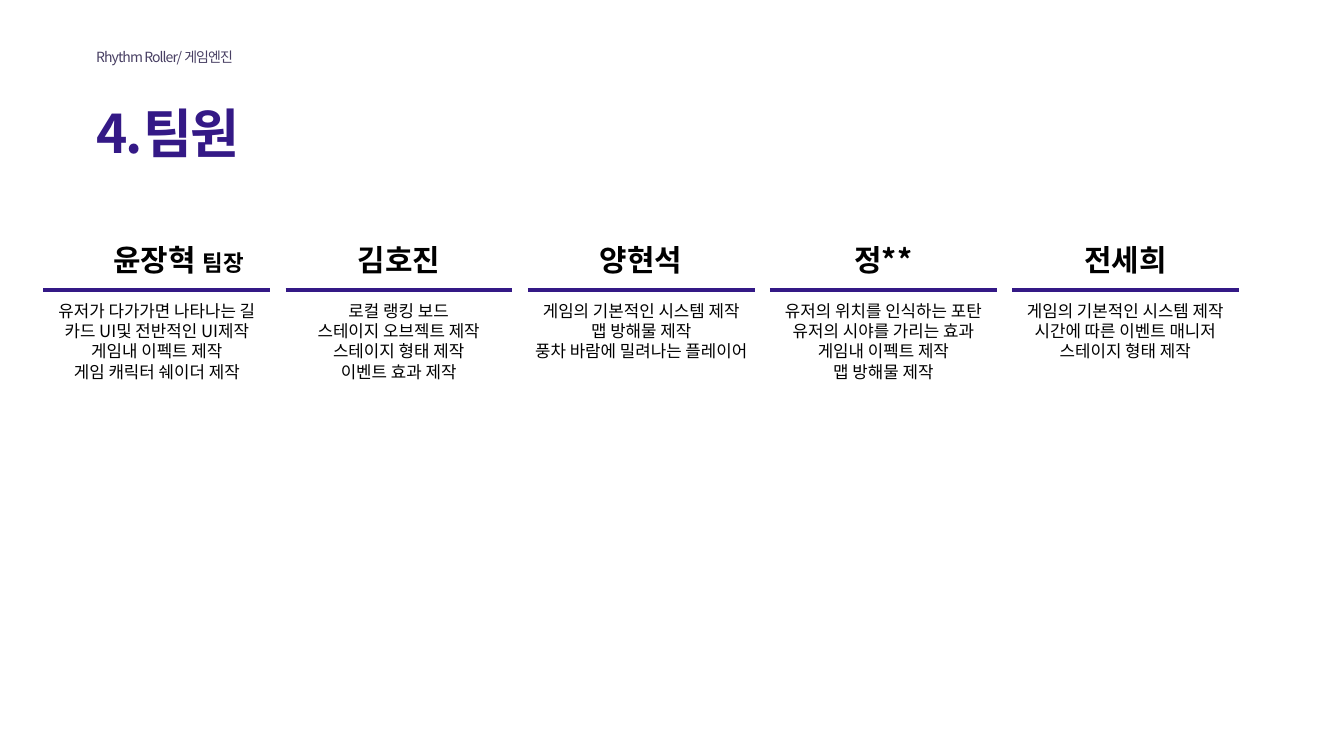
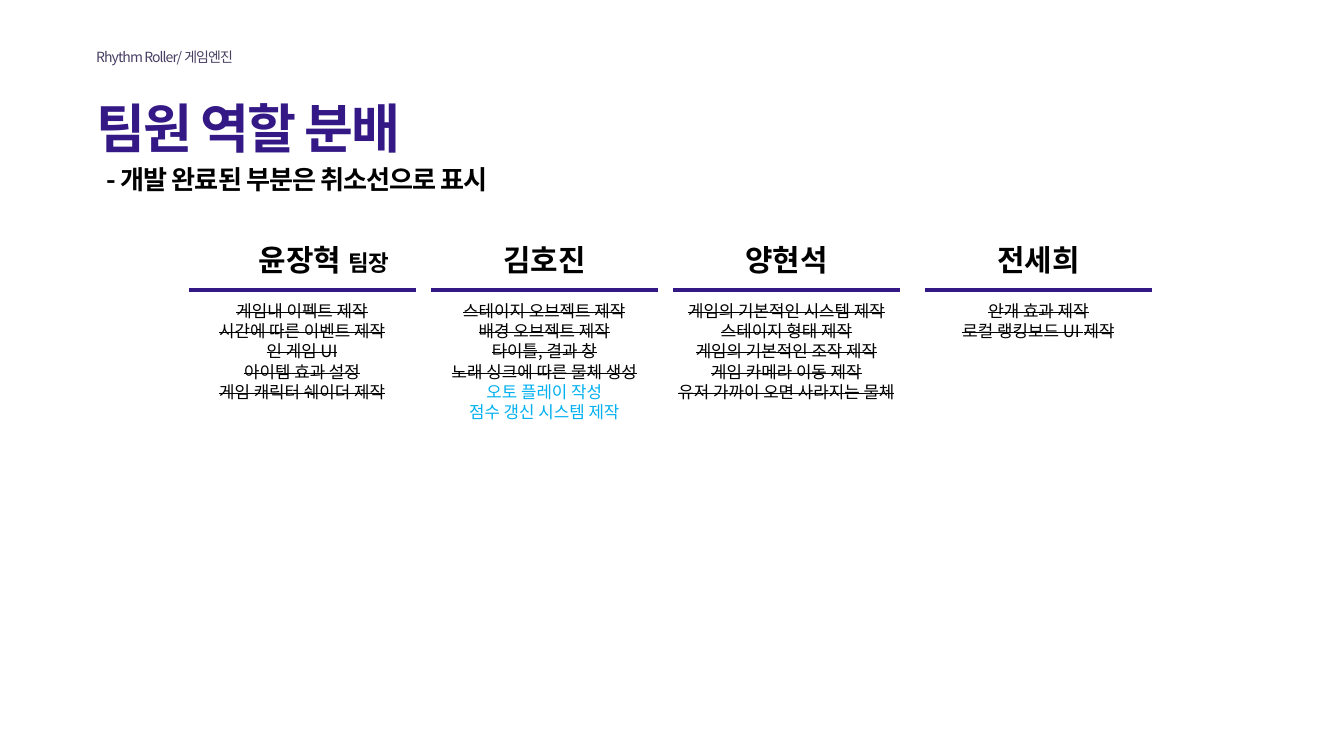
import dataclasses

import lxml.etree
import pptx
import pptx.dml.color
import pptx.enum.shapes
import pptx.enum.text
import pptx.oxml.ns
import pptx.slide
import pptx.text.text
import pptx.util

PX = 9525
SLIDE_WIDTH, SLIDE_HEIGHT = 1920, 1080
FONT = "Noto Sans CJK KR"
LINE_RATIO = 1.2

INDIGO = pptx.dml.color.RGBColor(0x34, 0x19, 0x86)
PLUM = pptx.dml.color.RGBColor(0x48, 0x3F, 0x63)
BLACK = pptx.dml.color.RGBColor(0, 0, 0)
SKY = pptx.dml.color.RGBColor(0x00, 0xB0, 0xF0)

LEFT_MARGIN = 128
COLUMN_WIDTH, COLUMN_PITCH = 324, 346
NAME_TOP, NAME_HEIGHT, NAME_INDENT = 340, 61, 62
NAME_WIDTH, LEADER_NAME_WIDTH = 200, 262
RULE_Y = 414
DUTIES_TOP, DUTY_HEIGHT, BOX_PADDING = 425, 29, 10


@dataclasses.dataclass(frozen=True)
class Style:
    size: int
    color: pptx.dml.color.RGBColor = BLACK
    bold: bool = False
    spacing: int = 0
    strike: bool = False


@dataclasses.dataclass(frozen=True)
class Box:
    left: int
    top: int
    width: int
    height: int


@dataclasses.dataclass(frozen=True)
class Member:
    name: str
    duties_width: int
    duties: tuple[str, ...]
    role: str = ""
    pending: tuple[str, ...] = ()
    shift: int = 0


RUNNING_HEAD = Style(15, PLUM, spacing=-1)
TITLE = Style(57, INDIGO, bold=True, spacing=-2)
SUBTITLE = Style(28, bold=True, spacing=-1)
NAME = Style(32, bold=True)
ROLE = Style(24, bold=True)
DUTY = Style(18)
DONE = Style(18, strike=True)
PENDING = Style(18, SKY)

Line = list[tuple[str, Style]]

TEAM = (
    Member("윤장혁", 336, (
        "유저가 다가가면 나타나는 길",
        "카드 UI및 전반적인 UI제작",
        "게임내 이펙트 제작",
        "게임 캐릭터 쉐이더 제작",
    ), role="팀장"),
    Member("김호진", 279, (
        "로컬 랭킹 보드",
        "스테이지 오브젝트 제작",
        "스테이지 형태 제작",
        "이벤트 효과 제작",
    )),
    Member("양현석", 360, (
        "게임의 기본적인 시스템 제작",
        "맵 방해물 제작",
        "풍차 바람에 밀려나는 플레이어",
    )),
    Member("정**", 336, (
        "유저의 위치를 인식하는 포탄",
        "유저의 시야를 가리는 효과",
        "게임내 이펙트 제작",
        "맵 방해물 제작",
    )),
    Member("전세희", 345, (
        "게임의 기본적인 시스템 제작",
        "시간에 따른 이벤트 매니저",
        "스테이지 형태 제작",
    )),
)

PROGRESS = (
    Member("윤장혁", 287, (
        "게임내 이펙트 제작",
        "시간에 따른 이벤트 제작",
        "인 게임 UI",
        "아이템 효과 설정",
        "게임 캐릭터 쉐이더 제작",
    ), role="팀장"),
    Member("김호진", 321, (
        "스테이지 오브젝트 제작",
        "배경 오브젝트 제작",
        "타이틀, 결과 창",
        "노래 싱크에 따른 물체 생성",
    ), pending=("오토 플레이 작성", "점수 갱신 시스템 제작")),
    Member("양현석", 369, (
        "게임의 기본적인 시스템 제작",
        "스테이지 형태 제작",
        "게임의 기본적인 조작 제작",
        "게임 카메라 이동 제작",
        "유저 가까이 오면 사라지는 물체",
    )),
    Member("전세희", 263, (
        "안개 효과 제작",
        "로컬 랭킹보드 UI 제작",
    ), shift=14),
)


def px(length: int) -> pptx.util.Emu:
    return pptx.util.Emu(length * PX)


def add_run(paragraph: pptx.text.text._Paragraph, text: str, style: Style) -> None:
    run = paragraph.add_run()
    run.text = text
    font_values = {"name": FONT, "size": pptx.util.Pt(style.size), "bold": style.bold}
    for attribute, value in font_values.items():
        setattr(run.font, attribute, value)
    run.font.color.rgb = style.color
    properties = run._r.get_or_add_rPr()
    if style.spacing:
        properties.set("spc", str(style.spacing * 100))
    if style.strike:
        properties.set("strike", "sngStrike")
    east_asian = lxml.etree.SubElement(properties, pptx.oxml.ns.qn("a:ea"))
    east_asian.set("typeface", FONT)


def add_text(slide: pptx.slide.Slide, box: Box, lines: list[Line],
             centred: bool = False, wrap: bool = True) -> None:
    area = slide.shapes.add_textbox(*map(px, dataclasses.astuple(box)))
    frame = area.text_frame
    frame.word_wrap = wrap
    frame.auto_size = pptx.enum.text.MSO_AUTO_SIZE.SHAPE_TO_FIT_TEXT
    for index, line in enumerate(lines):
        paragraph = frame.add_paragraph() if index else frame.paragraphs[0]
        if centred:
            paragraph.alignment = pptx.enum.text.PP_ALIGN.CENTER
        largest = max(style.size for _, style in line)
        paragraph.line_spacing = pptx.util.Pt(round(largest * LINE_RATIO, 1))
        for text, style in line:
            add_run(paragraph, text, style)


def add_rule(slide: pptx.slide.Slide, left: int) -> None:
    rule = slide.shapes.add_connector(
        pptx.enum.shapes.MSO_CONNECTOR.STRAIGHT,
        px(left), px(RULE_Y), px(left + COLUMN_WIDTH), px(RULE_Y))
    rule.line.color.rgb = INDIGO
    rule.line.width = pptx.util.Pt(4.5)
    lxml.etree.SubElement(rule._element.spPr, pptx.oxml.ns.qn("a:effectLst"))


def add_member(slide: pptx.slide.Slide, member: Member, left: int,
               duty_style: Style) -> None:
    heading = [(member.name, NAME)]
    if member.role:
        heading = [(member.name + " ", NAME), (member.role, ROLE)]
    name_width = LEADER_NAME_WIDTH if member.role else NAME_WIDTH
    add_text(slide, Box(left + NAME_INDENT, NAME_TOP, name_width, NAME_HEIGHT),
             [heading], centred=True)
    add_rule(slide, left)

    duties = [[(duty, duty_style)] for duty in member.duties]
    duties += [[(duty, PENDING)] for duty in member.pending]
    duties_left = left + (COLUMN_WIDTH - member.duties_width) // 2
    duties_height = BOX_PADDING + DUTY_HEIGHT * len(duties)
    add_text(slide, Box(duties_left, DUTIES_TOP, member.duties_width, duties_height),
             duties, centred=True, wrap=False)


def add_team_slide(deck: pptx.presentation.Presentation, title: str, title_top: int,
                   members: tuple[Member, ...], first_left: int,
                   duty_style: Style) -> pptx.slide.Slide:
    slide = deck.slides.add_slide(deck.slide_layouts[6])
    add_text(slide, Box(LEFT_MARGIN, title_top, 1307, 102), [[(title, TITLE)]])
    for column, member in enumerate(members):
        left = first_left + column * COLUMN_PITCH + member.shift
        add_member(slide, member, left, duty_style)
    add_text(slide, Box(LEFT_MARGIN, 65, 552, 34),
             [[("Rhythm Roller/ 게임엔진", RUNNING_HEAD)]])
    return slide


def main() -> None:
    deck = pptx.Presentation()
    deck.slide_width, deck.slide_height = px(SLIDE_WIDTH), px(SLIDE_HEIGHT)
    add_team_slide(deck, "4.팀원", 139, TEAM, 62, DUTY)
    progress = add_team_slide(deck, "팀원 역할 분배", 132, PROGRESS, 270, DONE)
    add_text(progress, Box(142, 228, 1569, 55),
             [[("- 개발 완료된 부분은 취소선으로 표시", SUBTITLE)]])
    deck.save("out.pptx")


if __name__ == "__main__":
    main()
